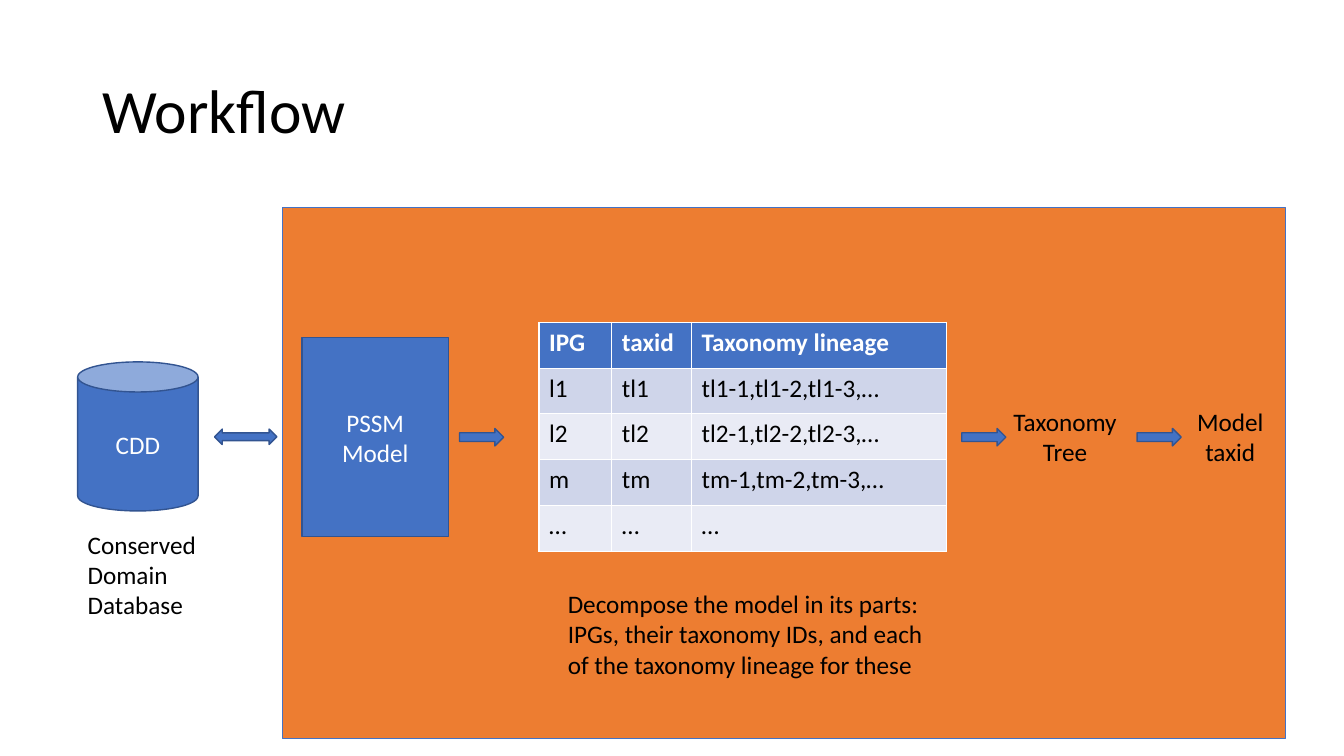
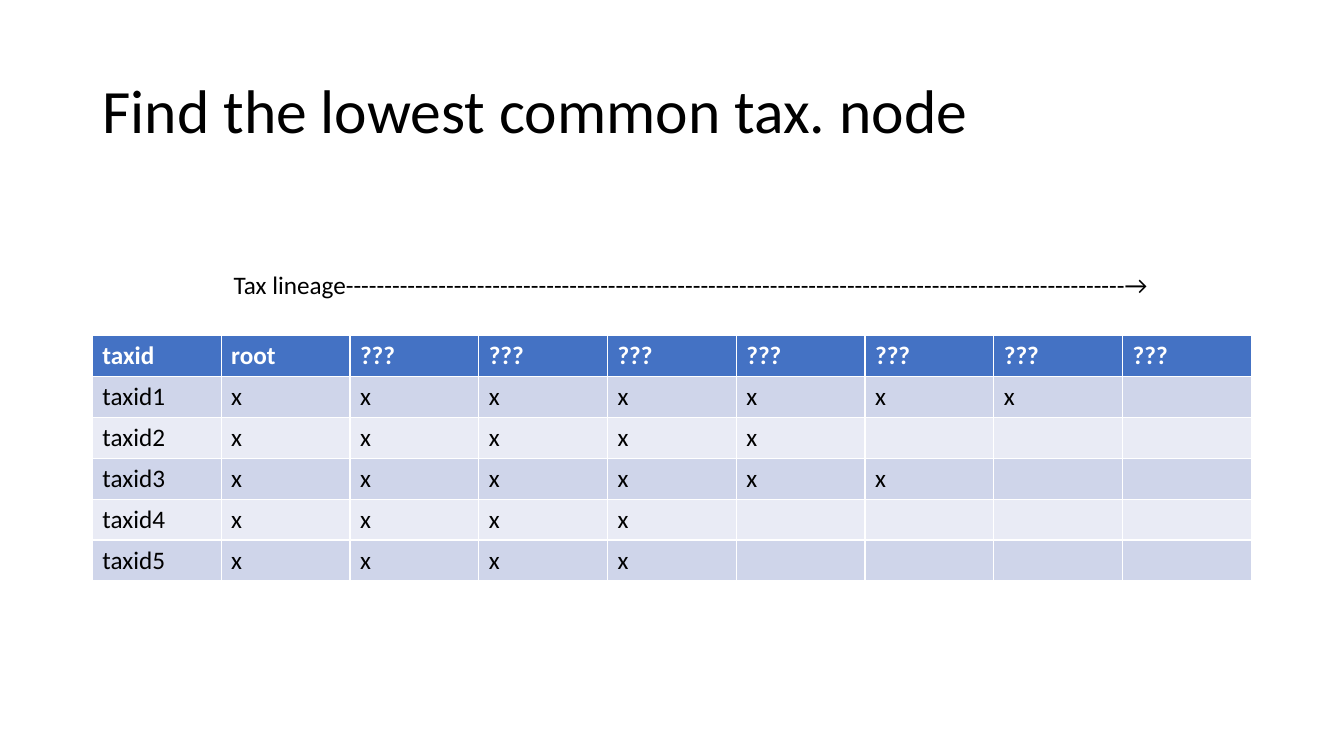
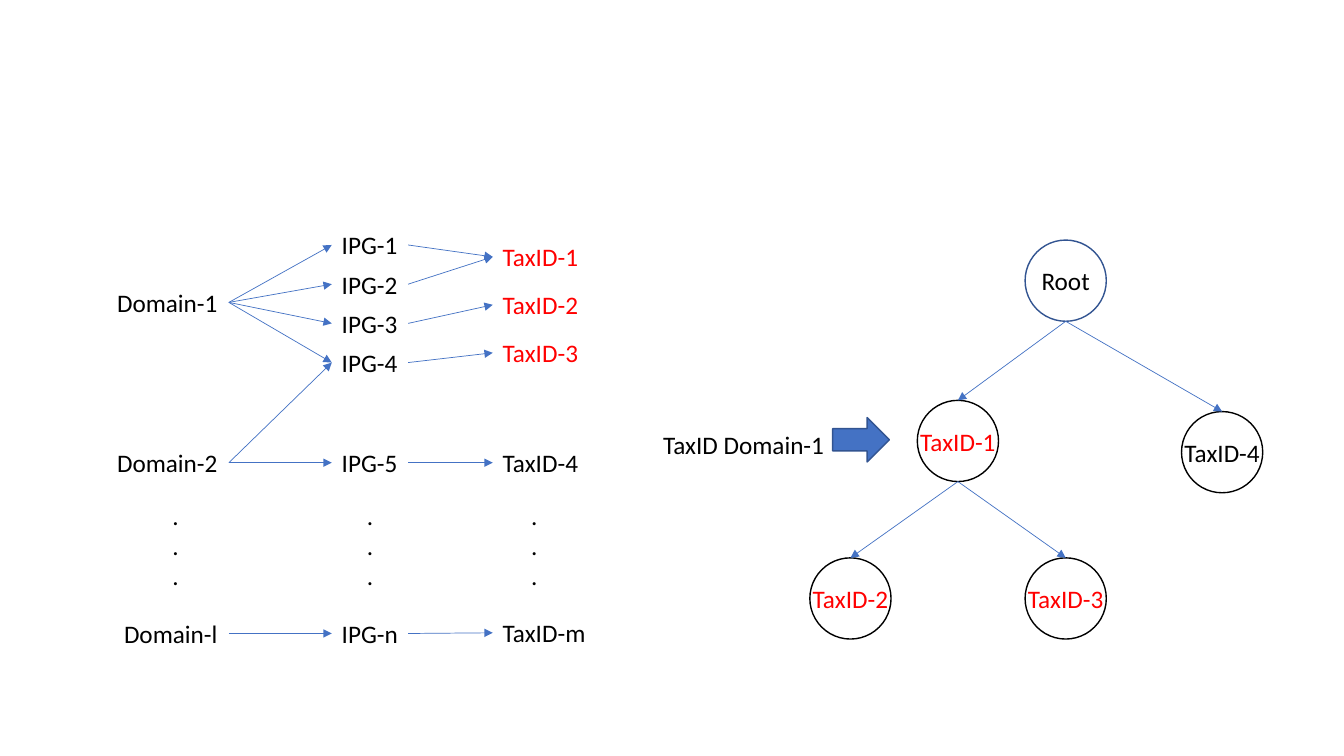
from itertools import accumulate

from pptx import Presentation
from pptx import util as u
from pptx.dml.color import RGBColor
from pptx.enum import shapes, text
from pptx.oxml import ns
from lxml import etree

Kind = shapes.MSO_SHAPE
Align = text.PP_ALIGN
Fit = text.MSO_AUTO_SIZE
Anchor = text.MSO_ANCHOR

BLUE, NAVY, ORANGE = "4472C4", "325491", "ED7D31"
BLACK, WHITE, RED = "000000", "FFFFFF", "FF0000"
BANDS = ("CFD5EA", "E9EBF5")
TITLE_ONLY, BLANK = 5, 6
TOP, LEFT, RIGHT = 0, 1, 3


def paint(target, color):
    """Give a fill or line fill a solid colour, or none."""
    if color:
        target.solid()
        target.fore_color.rgb = RGBColor.from_string(color)
    else:
        target.background()


def write(frame, words, size=18, color=BLACK, bold=False, align=Align.LEFT,
          spacing=None):
    """Fill a text frame, one paragraph for each line of words."""
    for index, line in enumerate(words.split("\n")):
        para = frame.paragraphs[0] if index == 0 else frame.add_paragraph()
        para.alignment = align
        para.line_spacing = spacing
        span = para.add_run()
        span.text = line
        span.font.name = "Calibri"
        span.font.size = u.Pt(size)
        span.font.bold = bold
        span.font.color.rgb = RGBColor.from_string(color)


class Deck:
    """The shared style and the current slide; lengths are in points."""

    def __init__(self):
        self.deck = Presentation()
        self.deck.slide_width, self.deck.slide_height = u.Pt(960), u.Pt(540)
        self.page = None

    def new_page(self, title=None):
        layout = self.deck.slide_layouts[TITLE_ONLY if title else BLANK]
        self.page = self.deck.slides.add_slide(layout)
        if title:
            box = self.page.shapes.title
            box.left, box.top = u.Pt(66), u.Pt(28.75)
            box.width, box.height = u.Pt(828), u.Pt(104.4)
            box.text_frame.vertical_anchor = Anchor.MIDDLE
            box.text_frame.auto_size = Fit.NONE
            write(box.text_frame, title, size=44, spacing=0.9)

    def shape(self, kind, left, top, width, height, words="", fill=BLUE,
              line=NAVY, weight=1, color=WHITE, wrap=True):
        shape = self.page.shapes.add_shape(
            kind, u.Pt(left), u.Pt(top), u.Pt(width), u.Pt(height))
        shape.shadow.inherit = False
        paint(shape.fill, fill)
        paint(shape.line.fill, line)
        shape.line.width = u.Pt(weight)
        if words:
            shape.text_frame.word_wrap = wrap
            shape.text_frame.vertical_anchor = Anchor.MIDDLE
            write(shape.text_frame, words, color=color, align=Align.CENTER)
        return shape

    def label(self, words, left, top, width, height=29, wrap=False, **style):
        box = self.page.shapes.add_textbox(
            u.Pt(left), u.Pt(top), u.Pt(width), u.Pt(height))
        box.text_frame.word_wrap = wrap
        box.text_frame.auto_size = Fit.SHAPE_TO_FIT_TEXT
        write(box.text_frame, words, **style)
        return box

    def table(self, rows, left, top, widths, row_height):
        table = self.page.shapes.add_table(
            len(rows), len(widths), u.Pt(left), u.Pt(top),
            u.Pt(sum(widths)), u.Pt(row_height * len(rows))).table
        for column, width in zip(table.columns, widths):
            column.width = u.Pt(width)
        for r, row in enumerate(rows):
            table.rows[r].height = u.Pt(row_height)
            for c, words in enumerate(row):
                cell = table.cell(r, c)
                paint(cell.fill, BANDS[(r - 1) % 2] if r else BLUE)
                if words:
                    write(cell.text_frame, words, bold=r == 0,
                          color=BLACK if r else WHITE)

    def arrow(self, source, target, from_side=None, to_side=TOP):
        """Join two shapes; with no from_side, start at the bottom middle."""
        start_x = source.left + source.width // 2
        start_y = source.top + source.height
        link = self.page.shapes.add_connector(
            shapes.MSO_CONNECTOR.STRAIGHT, start_x, start_y, start_x, start_y)
        if from_side is not None:
            link.begin_connect(source, from_side)
        link.end_connect(target, to_side)
        paint(link.line.fill, BLUE)
        link.line.width = u.Pt(0.5)
        props = link.element.spPr
        etree.SubElement(props.find(ns.qn("a:ln")), ns.qn("a:tailEnd"),
                         type="triangle")
        etree.SubElement(props, ns.qn("a:effectLst"))


def workflow(deck):
    deck.new_page("Workflow")
    deck.shape(Kind.RECTANGLE, 201.75, 148, 716.25, 379.5, fill=ORANGE,
               line=BLUE, weight=0.5)

    # Database and model
    deck.shape(Kind.CAN, 55.5, 258.5, 86, 106.5, "CDD")
    deck.label("Conserved Domain Database", 55.5, 374.5, 95, 73, wrap=True)
    deck.shape(Kind.LEFT_RIGHT_ARROW, 153.25, 306.5, 44.5, 11)
    deck.shape(Kind.RECTANGLE, 215.75, 241.25, 104.5, 142, "PSSM\u0020Model")

    # Parts of the model
    lineages = [(key, "t" + key if key != "m" else "tm") for key in ("l1", "l2", "m")]
    rows = [("IPG", "taxid", "Taxonomy lineage")]
    rows += [(key, taxid, ",".join(f"{taxid}-{n}" for n in (1, 2, 3)) + ",…")
             for key, taxid in lineages]
    rows.append(("…",) * 3)
    deck.table(rows, 385, 230.25, (52, 57, 182), 32.7)
    deck.label("Decompose the model in its parts:\nIPGs, their taxonomy IDs, "
               "and each of the taxonomy lineage for these",
               398.5, 416.75, 271, 73, wrap=True)

    # Steps to the result
    for left in (328.25, 687, 812.25):
        deck.shape(Kind.RIGHT_ARROW, left, 306, 31.5, 12.5)
    for words, left, width in (("Taxonomy\nTree", 716.25, 89),
                               ("Model\ntaxid", 847.5, 62.5)):
        deck.label(words, left, 286.5, width, 51, align=Align.CENTER)


def common_node(deck):
    deck.new_page("Find the lowest common tax. node")
    deck.label("Tax lineage" + "-" * 101 + "→", 159.75, 188.5, 734, wrap=True)
    depths = (7, 5, 6, 4, 4)
    rows = [["taxid", "root"] + ["???"] * 7]
    rows += [[f"taxid{n}"] + ["x"] * depth + [""] * (8 - depth)
             for n, depth in enumerate(depths, 1)]
    deck.table(rows, 66, 239.75, [92] * 9, 29.2)


def taxonomy_tree(deck):
    deck.new_page()

    # Three columns: name, left, width, middle height
    columns = [("Domain-1", 76.5, 87, 216), ("Domain-2", 76.5, 87, 330.5),
               ("Domain-l", 81.5, 82, 452.5)]
    ipg_middles = list(accumulate([175, 28, 28, 28])) + [330.5]
    columns += [(f"IPG-{n}", 237, 54.5, middle)
                for n, middle in enumerate(ipg_middles, 1)]
    columns.append(("IPG-n", 237, 54.5, 452.5))
    taxid_middles = list(accumulate([183.5, 34.25, 34.25])) + [330.5]
    columns += [(f"TaxID-{n}", 352, 69, middle)
                for n, middle in enumerate(taxid_middles, 1)]
    columns.append(("TaxID-m", 352, 74.5, 452))
    found = {"TaxID-1", "TaxID-2", "TaxID-3"}
    labels = {name: deck.label(name, left, middle - 14.5, width,
                               color=RED if name in found else BLACK)
              for name, left, width, middle in columns}
    for left in (116, 255, 372.25):
        deck.label(".\n.\n.", left, 353.5, 19.5, 73)

    # Links between the columns
    links = {"Domain-1": ("IPG-1", "IPG-2", "IPG-3", "IPG-4"),
             "Domain-2": ("IPG-4", "IPG-5"), "Domain-l": ("IPG-n",),
             "IPG-1": ("TaxID-1",), "IPG-2": ("TaxID-1",),
             "IPG-3": ("TaxID-2",), "IPG-4": ("TaxID-3",),
             "IPG-5": ("TaxID-4",), "IPG-n": ("TaxID-m",)}
    for source, targets in links.items():
        for target in targets:
            deck.arrow(labels[source], labels[target], RIGHT, LEFT)

    # Tree of taxonomy nodes
    places = {"Root": (732.25, 171.5), "TaxID-1": (655.25, 286),
              "TaxID-2": (578.5, 398.5), "TaxID-3": (732.25, 398.5),
              "TaxID-4": (844, 294)}
    nodes = {name: deck.shape(Kind.OVAL, left, top, 58, 58, name, fill=None,
                              line=NAVY if name == "Root" else BLACK,
                              color=RED if name in found else BLACK, wrap=False)
             for name, (left, top) in places.items()}
    for parent, child in (("Root", "TaxID-1"), ("Root", "TaxID-4"),
                          ("TaxID-1", "TaxID-2"), ("TaxID-1", "TaxID-3")):
        deck.arrow(nodes[parent], nodes[child])

    # Chosen node
    deck.label("TaxID Domain-1", 466.5, 303.25, 131)
    deck.shape(Kind.RIGHT_ARROW, 594.75, 298.25, 40.5, 31.75)


def main():
    deck = Deck()
    workflow(deck)
    common_node(deck)
    taxonomy_tree(deck)
    deck.deck.save("out.pptx")


if __name__ == "__main__":
    main()
